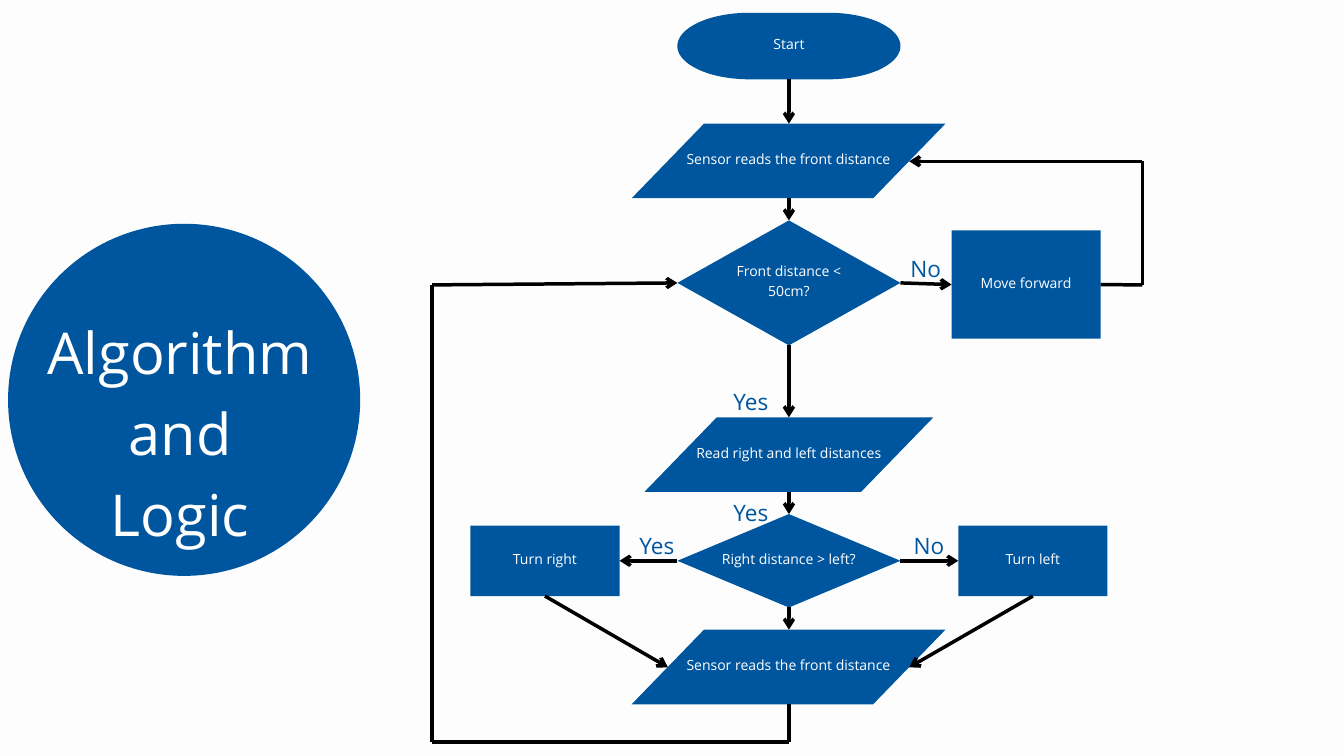
import math

from lxml import etree
from pptx import Presentation
from pptx.dml.color import RGBColor
from pptx.enum import shapes, text
from pptx.oxml import ns
from pptx.util import Inches, Pt

BLUE = RGBColor(0x00, 0x56, 0x9E)
WHITE = RGBColor(0xFF, 0xFF, 0xFF)
BLACK = RGBColor(0x00, 0x00, 0x00)
BACKGROUND = RGBColor(0xFD, 0xFD, 0xFD)
TOP, LEFT, BOTTOM, RIGHT = range(4)
AXIS = 11.74  # centre line of the flowchart

presentation = Presentation()
presentation.slide_width = Inches(20)
presentation.slide_height = Inches(11.25)
slide = presentation.slides.add_slide(presentation.slide_layouts[6])
slide.background.fill.solid()
slide.background.fill.fore_color.rgb = BACKGROUND


def write(shape, wording, size, spacing, color, wrap=False, bottom=0):
    frame = shape.text_frame
    frame.margin_left = frame.margin_right = frame.margin_top = 0
    frame.margin_bottom = Inches(bottom)
    frame.word_wrap = wrap
    frame.text = wording
    for paragraph in frame.paragraphs:
        paragraph.alignment = text.PP_ALIGN.CENTER
        paragraph.line_spacing = Pt(spacing)
        paragraph.font.name = "Open Sans"
        paragraph.font.size = Pt(size)
        paragraph.font.color.rgb = color


def connect(start, end, arrow=True):
    """Draw a line; each end is an (x, y) point or a (shape, side) pair."""
    points = [(0, 0) if hasattr(place[0], "shape_id") else place for place in (start, end)]
    line = slide.shapes.add_connector(
        shapes.MSO_CONNECTOR.STRAIGHT, *[Inches(value) for point in points for value in point])
    if points[0] != start:
        line.begin_connect(*start)
    if points[1] != end:
        line.end_connect(*end)
    line.line.color.rgb = BLACK
    line.line.width = Pt(3.75)
    if arrow:
        etree.SubElement(line.line._get_or_add_ln(), ns.qn("a:tailEnd"), type="arrow")
    etree.SubElement(line._element.spPr, ns.qn("a:effectLst"))


# Start: a capsule with elliptical ends
outline = []
for step in range(-30, 91):
    angle = math.radians(step * 3)
    if step > 30:
        angle = math.radians((step - 1) * 3)
    side = 1 if step <= 30 else -1
    outline.append((Inches(AXIS + side * 0.59 + 1.07 * math.cos(angle)),
                    Inches(0.685 + 0.495 * math.sin(angle))))
builder = slide.shapes.build_freeform(*outline[0], scale=1.0)
builder.add_line_segments(outline[1:], close=True)
start = builder.convert_to_shape()

# Flowchart steps: preset, left, top, width, height, wording
KIND = shapes.MSO_SHAPE
steps = [
    (KIND.PARALLELOGRAM, 9.4, 1.84, 4.67, 1.11, "Sensor reads the front distance"),
    (KIND.RECTANGLE, 14.16, 3.43, 2.22, 1.61, "Move forward"),
    (KIND.DIAMOND, 10.08, 3.28, 3.32, 1.86, "Front distance < 50cm?"),
    (KIND.PARALLELOGRAM, 9.59, 6.21, 4.3, 1.11, "Read right and left distances"),
    (KIND.DIAMOND, 10.08, 7.65, 3.32, 1.39, "Right distance > left?"),
    (KIND.RECTANGLE, 7, 7.82, 2.22, 1.05, "Turn right"),
    (KIND.RECTANGLE, 14.26, 7.82, 2.22, 1.05, "Turn left"),
    (KIND.PARALLELOGRAM, 9.4, 9.37, 4.67, 1.11, "Sensor reads the front distance"),
    (KIND.OVAL, 0.12, 3.33, 5.24, 5.24, ""),
]
drawn = [(start, "Start")]
for kind, left, top, width, height, wording in steps:
    shape = slide.shapes.add_shape(kind, *[Inches(v) for v in (left, top, width, height)])
    if kind == KIND.PARALLELOGRAM:
        shape.adjustments[0] = 0.97
    drawn.append((shape, wording))
for shape, wording in drawn:
    shape.shadow.inherit = False
    shape.fill.solid()
    shape.fill.fore_color.rgb = BLUE
    shape.line.fill.background()
    if wording:
        shape.text_frame.vertical_anchor = text.MSO_ANCHOR.MIDDLE
        write(shape, wording, 15, 21, WHITE, wrap="50cm" in wording, bottom=0.1)

forward, front_check, side_check, turn_right, turn_left = [
    drawn[index][0] for index in (2, 3, 5, 6, 7)]

# Main flow
connect((AXIS, 1.18), (AXIS, 1.84))
connect((AXIS, 2.95), (front_check, TOP))
connect((front_check, BOTTOM), (AXIS, 6.21))
connect((AXIS, 7.32), (side_check, TOP))
connect((side_check, BOTTOM), (AXIS, 9.37))

# Branches
connect((front_check, RIGHT), (forward, LEFT))
connect((side_check, RIGHT), (turn_left, LEFT))
connect((side_check, LEFT), (turn_right, RIGHT))
connect((turn_right, BOTTOM), (9.94, 9.93))
connect((turn_left, BOTTOM), (13.53, 9.93))

# Return loops
connect((forward, RIGHT), (17, 4.24), arrow=False)
connect((17, 4.24), (17, 2.4), arrow=False)
connect((17, 2.4), (13.53, 2.4))
connect((AXIS, 10.48), (AXIS, 11.04), arrow=False)
connect((AXIS, 11.04), (6.43, 11.04), arrow=False)
connect((6.43, 11.04), (6.43, 4.24), arrow=False)
connect((6.43, 4.24), (front_check, LEFT))

# Title and branch labels
title = slide.shapes.add_textbox(Inches(0), Inches(4.55), Inches(5.36), Inches(3.53))
write(title, "Algorithm\nand\nLogic", 61.8, 86.5, WHITE, wrap=True)
for wording, left, top, width in [
    ("Yes", 10.87, 5.71, 0.61),
    ("No", 13.53, 3.72, 0.49),
    ("Yes", 10.87, 7.35, 0.61),
    ("Yes", 9.47, 7.85, 0.61),
    ("No", 13.58, 7.85, 0.49),
]:
    label = slide.shapes.add_textbox(Inches(left), Inches(top), Inches(width), Inches(0.44))
    write(label, wording, 24.2, 33.9, BLUE)

presentation.save("out.pptx")
